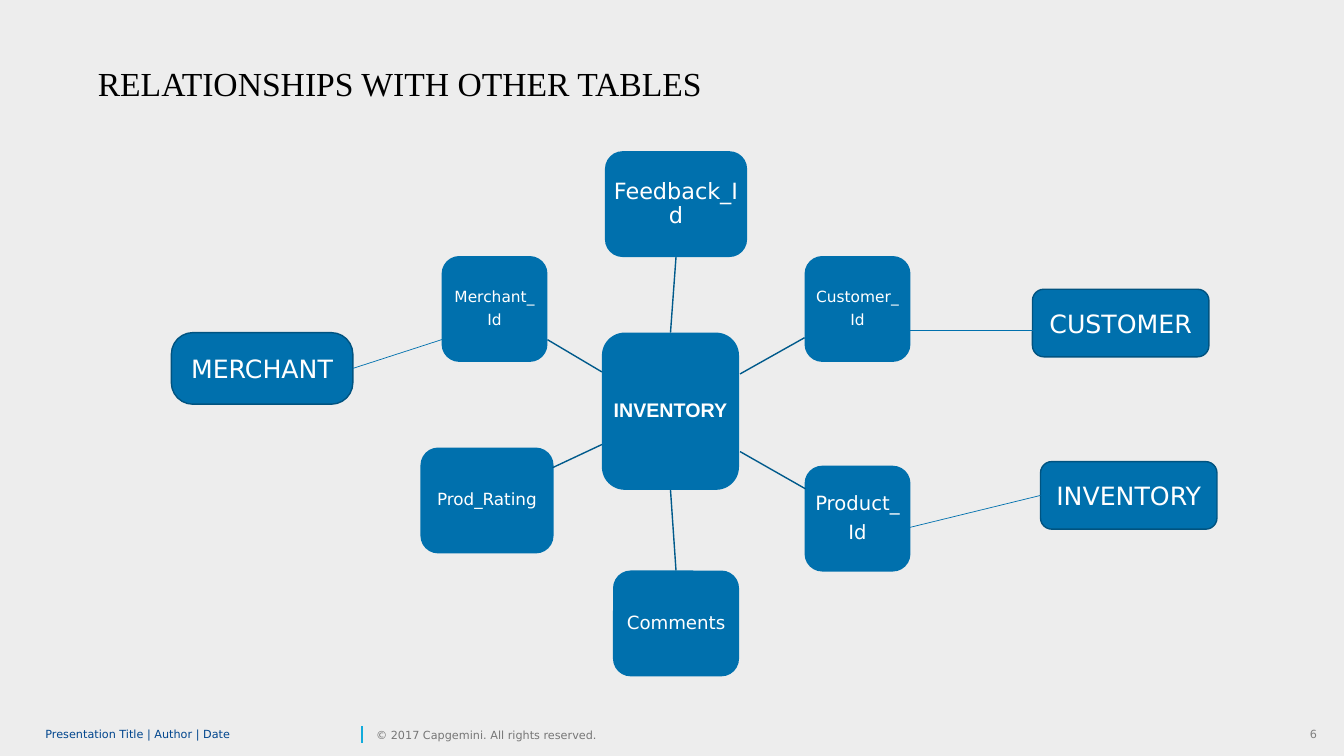
import pptx
import pptx.dml.color
import pptx.enum.shapes
import pptx.enum.text
import pptx.oxml.ns
import pptx.util
from lxml import etree

Inches = pptx.util.Inches
Pt = pptx.util.Pt
Align = pptx.enum.text.PP_ALIGN
Anchor = pptx.enum.text.MSO_ANCHOR
Preset = pptx.enum.shapes.MSO_SHAPE
TOP, LEFT, BOTTOM, RIGHT = range(4)
PAGE_WIDTH, PAGE_HEIGHT = 13.33, 7.5


def color(hex_code):
    return pptx.dml.color.RGBColor.from_string(hex_code)


def write_text(frame, text, size=18, font="DejaVu Sans", hex_code="FFFFFF", bold=False,
               align=Align.CENTER, anchor=Anchor.MIDDLE, inset=0.1, line_spacing=1.0,
               space_after=0, wrap=True):
    frame.word_wrap = wrap
    frame.auto_size = pptx.enum.text.MSO_AUTO_SIZE.NONE
    frame.vertical_anchor = anchor
    frame.margin_left = frame.margin_right = Inches(inset)
    frame.margin_top = frame.margin_bottom = Inches(min(inset, 0.05))
    for index, line in enumerate(text.split("\n")):
        paragraph = frame.paragraphs[0] if index == 0 else frame.add_paragraph()
        paragraph.alignment = align
        paragraph.line_spacing = line_spacing
        paragraph.space_before = Pt(0)
        paragraph.space_after = Pt(space_after)
        run = paragraph.add_run()
        run.text = line
        run.font.size = Pt(size)
        run.font.name = font
        run.font.bold = bold
        run.font.color.rgb = color(hex_code)


class DiagramSlide:
    backdrop_fill = "EDEDED"
    box_fill = "0070AD"
    box_outline = "005380"
    spoke_color = "005A8B"

    def __init__(self, presentation):
        self.slide = presentation.slides.add_slide(presentation.slide_layouts[5])

    def shape(self, preset, left, top, width, height, fill, outline=None):
        shape = self.slide.shapes.add_shape(
            preset, Inches(left), Inches(top), Inches(width), Inches(height))
        shape.shadow.inherit = False
        shape.fill.solid()
        shape.fill.fore_color.rgb = color(fill)
        if outline:
            shape.line.color.rgb = color(outline)
            shape.line.width = Pt(1)
        else:
            shape.line.fill.background()
        return shape

    def backdrop(self):
        shape = self.shape(Preset.RECTANGLE, 0, 0, PAGE_WIDTH, PAGE_HEIGHT, self.backdrop_fill)
        self.slide.shapes.title._element.addprevious(shape._element)

    def title(self, text, left, top, width, height):
        title = self.slide.shapes.title
        title.left, title.top = Inches(left), Inches(top)
        title.width, title.height = Inches(width), Inches(height)
        write_text(title.text_frame, text, size=24, font="Times New Roman",
                   hex_code="000000", align=Align.LEFT, anchor=Anchor.TOP)

    def label(self, text, left, top, width, height, **text_format):
        box = self.slide.shapes.add_textbox(
            Inches(left), Inches(top), Inches(width), Inches(height))
        write_text(box.text_frame, text, size=8, **text_format)

    def box(self, text, left, top, width, height, outline=None, corner=None, **text_format):
        shape = self.shape(Preset.ROUNDED_RECTANGLE, left, top, width, height,
                           self.box_fill, outline)
        if corner is not None:
            shape.adjustments[0] = corner
        write_text(shape.text_frame, text, **text_format)
        return shape

    def field_box(self, text, left, top, width, height, size, **text_format):
        return self.box(text, left, top, width, height, size=size, inset=0.03,
                        line_spacing=0.9, space_after=round(0.38 * size, 1), **text_format)

    def line(self, start, end, hex_code, width=1, arrow=False, begin=None, finish=None):
        connector = self.slide.shapes.add_connector(
            pptx.enum.shapes.MSO_CONNECTOR.STRAIGHT,
            *(Inches(value) for value in start + end))
        connector.line.color.rgb = color(hex_code)
        connector.line.width = Pt(width)
        if arrow:
            etree.SubElement(connector.line._get_or_add_ln(),
                             pptx.oxml.ns.qn("a:tailEnd"), type="triangle")
        etree.SubElement(connector._element.spPr, pptx.oxml.ns.qn("a:effectLst"))
        if begin:
            connector.begin_connect(*begin)
        if finish:
            connector.end_connect(*finish)


def main():
    presentation = pptx.Presentation()
    presentation.slide_width = Inches(PAGE_WIDTH)
    presentation.slide_height = Inches(PAGE_HEIGHT)
    page = DiagramSlide(presentation)

    page.backdrop()
    page.title("RELATIONSHIPS WITH OTHER TABLES", 0.87, 0.57, 6.59, 0.5)

    hub = page.field_box("INVENTORY", 5.97, 3.3, 1.36, 1.56, 14, font="Arial", bold=True)
    fields = [
        ("Feedback_Id", 6, 1.5, 1.41, 16, (6.67, 3.3), (6.69, 2.55), (TOP, BOTTOM)),
        ("Customer_\nId", 7.98, 2.54, 1.05, 11, (7.34, 3.71), (7.98, 3.35), None),
        ("Product_\nId", 7.98, 4.62, 1.05, 14, (7.34, 4.48), (7.99, 4.85), None),
        ("Comments", 6.08, 5.66, 1.25, 13, (6.67, 4.87), (6.69, 5.66), (BOTTOM, TOP)),
        ("Prod_Rating", 4.17, 4.44, 1.32, 12, (5.97, 4.41), (5.48, 4.64), None),
        ("Merchant_\nId", 4.38, 2.54, 1.05, 11, (5.97, 3.69), (5.43, 3.37), None),
    ]
    for text, left, top, width, size, start, end, sides in fields:
        field = page.field_box(text, left, top, width, 1.05, size)
        begin, finish = ((hub, sides[0]), (field, sides[1])) if sides else (None, None)
        page.line(start, end, page.spoke_color, begin=begin, finish=finish)

    page.box("CUSTOMER", 10.24, 2.87, 1.75, 0.67, outline=page.box_outline)
    inventory = page.box("INVENTORY", 10.32, 4.58, 1.75, 0.67, outline=page.box_outline)
    merchant = page.box("MERCHANT", 1.7, 3.3, 1.8, 0.71, outline=page.box_outline, corner=0.3)
    links = [
        ((3.5, 3.65), (4.75, 3.25), (merchant, RIGHT)),
        ((10.32, 3.28), (8.83, 3.28), None),
        ((10.32, 4.95), (8.83, 5.28), (inventory, LEFT)),
    ]
    for start, end, begin in links:
        page.line(start, end, page.box_fill, width=0.5, arrow=True, begin=begin)

    page.label("Presentation Title | Author | Date", 0.45, 7.17, 3.09, 0.24,
               hex_code="00458D", align=Align.LEFT, inset=0, line_spacing=0.85)
    page.line((3.59, 7.37), (3.59, 7.2), "12ABDB")
    page.label("© 2017 Capgemini. All rights reserved.", 3.73, 7.17, 2.43, 0.24,
               hex_code="767676", align=Align.LEFT, inset=0, wrap=False)
    page.label("6", 12.89, 7.17, 0.27, 0.24, hex_code="808080", align=Align.RIGHT,
               anchor=Anchor.TOP, wrap=False)

    presentation.save("out.pptx")


if __name__ == "__main__":
    main()
